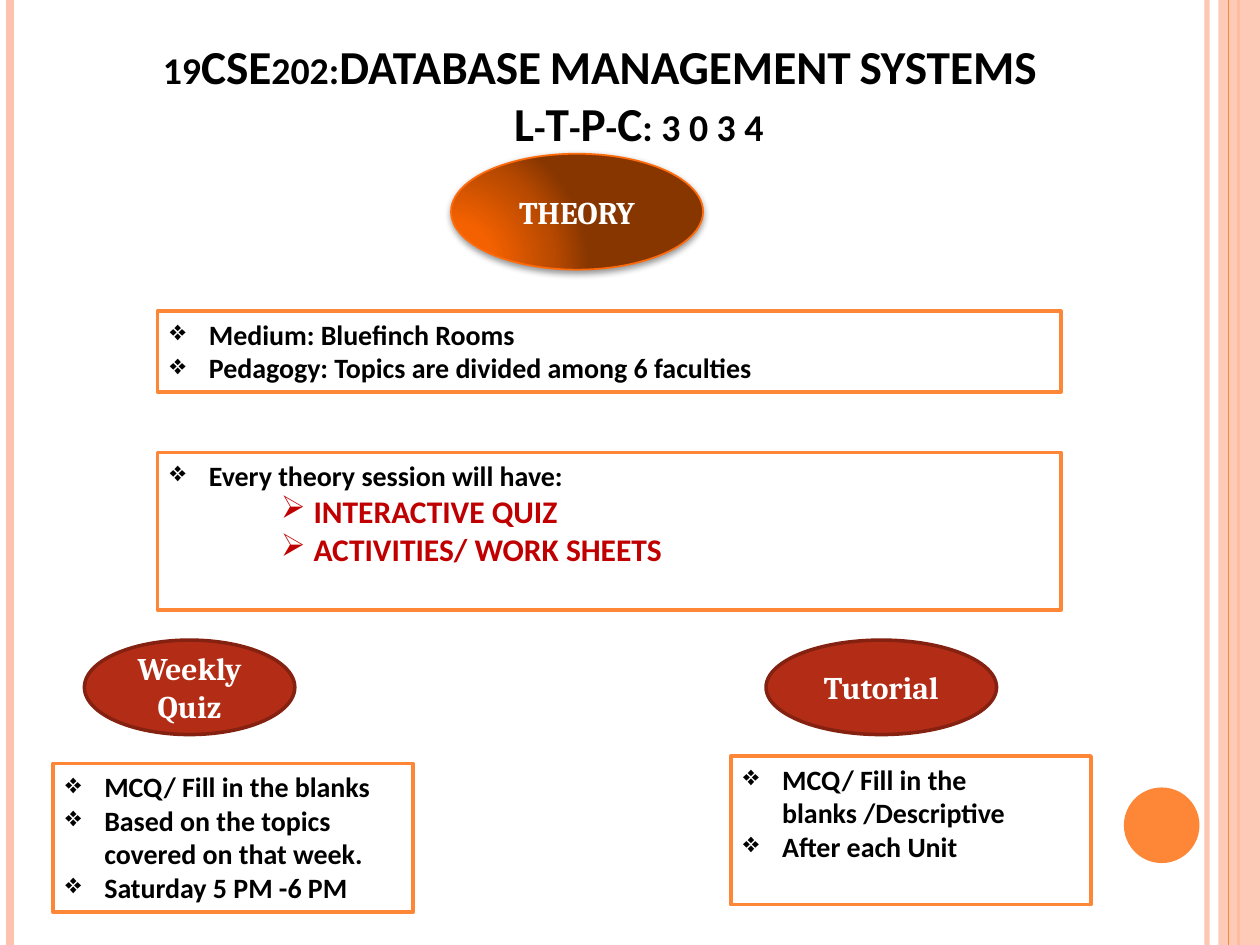
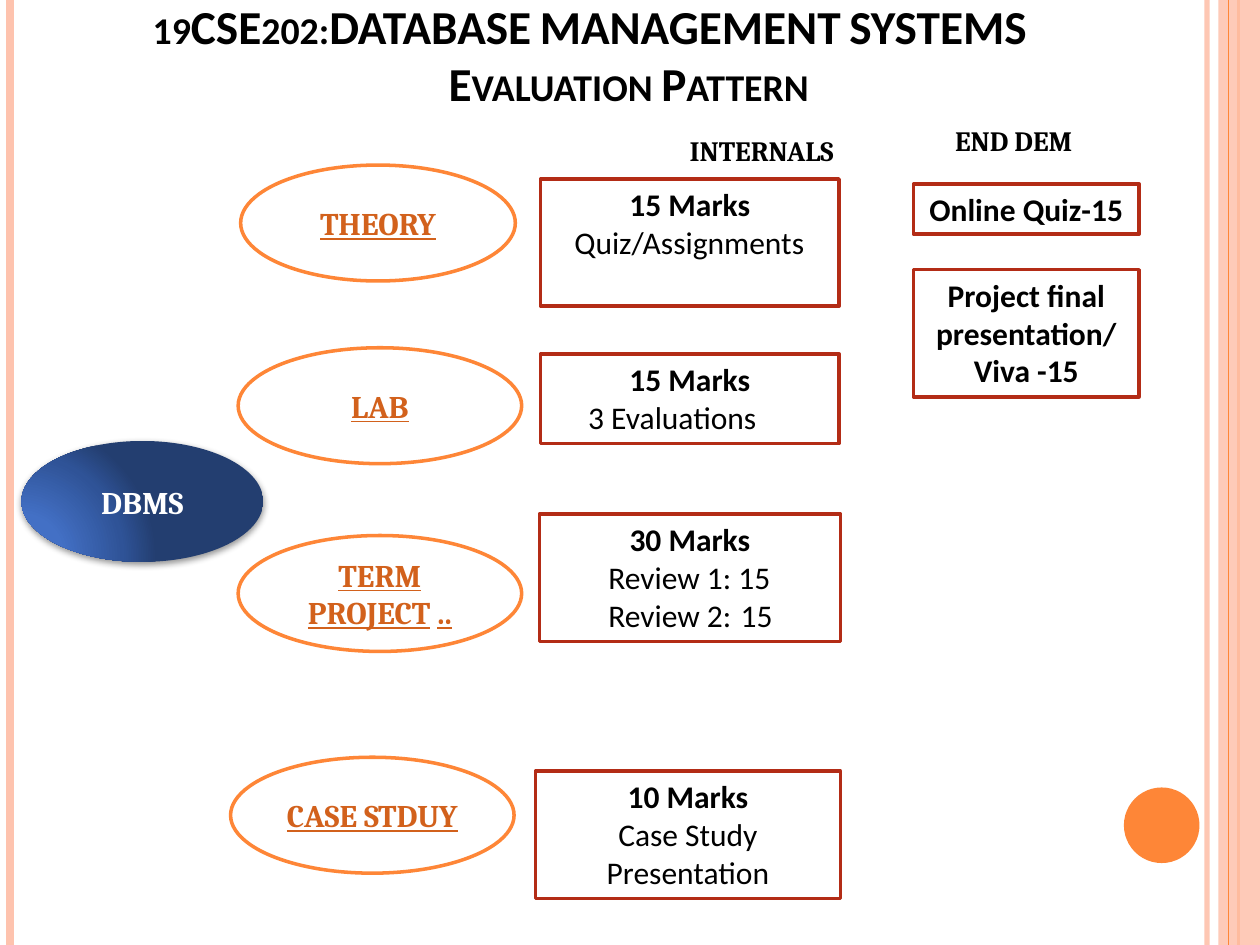
from dataclasses import dataclass
from lxml import etree
from pptx import Presentation
from pptx.dml.color import RGBColor
from pptx.enum.shapes import MSO_CONNECTOR, MSO_SHAPE
from pptx.enum.text import MSO_ANCHOR, MSO_AUTO_SIZE, PP_ALIGN
from pptx.oxml.ns import qn
from pptx.util import Inches, Pt

RECT, OVAL = MSO_SHAPE.RECTANGLE, MSO_SHAPE.OVAL
STRAIGHT = MSO_CONNECTOR.STRAIGHT
TOP, MIDDLE, BOTTOM = MSO_ANCHOR.TOP, MSO_ANCHOR.MIDDLE, MSO_ANCHOR.BOTTOM
LEFT, CENTER = PP_ALIGN.LEFT, PP_ALIGN.CENTER
FIXED_SIZE = MSO_AUTO_SIZE.NONE
COURSE = "19CSE202:DATABASE MANAGEMENT SYSTEMS"


@dataclass(frozen=True)
class Theme:
    black: str = "000000"
    white: str = "FFFFFF"
    orange: str = "FE8637"
    peach: str = "FEC3AE"
    rust: str = "D2611C"
    brick: str = "B32C16"
    brick_dark: str = "842110"
    red: str = "C00000"
    theory_edge: str = "FF6B0A"
    theory_glow: tuple = ("FD6400", "F46100", "B74900", "873600")
    course_glow: tuple = ("4574CC", "4370C5", "2F5397", "233E70")
    glow_stops: tuple = (0, 30, 75, 100)
    body_font: str = "Calibri"
    oval_font: str = "Cambria"
    title_size: int = 27
    large: int = 18
    small: int = 16


THEME = Theme()


@dataclass
class Para:
    """One paragraph: spans of (text, format) with its placing."""
    spans: list
    align: object = CENTER
    left: float = 0
    indent: float = 0
    bullet: str = ""
    tab: float = 0


def style(size, name=THEME.body_font, color=THEME.black, bold=True, underline=False):
    return {"size": Pt(size), "name": name, "bold": bold,
            "underline": underline, "color": color}


TITLE = style(THEME.title_size)
ITEM = style(THEME.small)
ALERT = style(THEME.large, color=THEME.red)
MARKS = style(THEME.large)
DETAIL = style(THEME.large, bold=False)
HEADING = style(THEME.small, THEME.oval_font)
OVAL_TEXT = style(THEME.large, THEME.oval_font, THEME.white)
PART_TEXT = style(THEME.large, THEME.oval_font, THEME.rust, underline=True)
PART_GAP = style(THEME.large, THEME.oval_font)


def item(text):
    return Para([(text, ITEM)], LEFT, 0.31, -0.31, "❖")


def alert(text):
    return Para([(text, ALERT)], LEFT, 1.14, -0.26, "➢")


def centered(text, look):
    return Para([(text, look)])


def detail(text, indent, tab=0):
    return Para([(text, DETAIL)], LEFT, indent=indent, tab=tab)


def set_alpha(element, percent):
    for color in element.iter(qn("a:srgbClr")):
        etree.SubElement(color, qn("a:alpha"), val=str(percent * 1000))


class Deck:
    def __init__(self, theme):
        self.theme = theme
        self.deck = Presentation()
        self.deck.slide_width, self.deck.slide_height = Inches(10), Inches(7.5)
        self.page = None

    def new_page(self, subtitle, left, top):
        self.page = self.deck.slides.add_slide(self.deck.slide_layouts[5])
        self.frame()
        self.title(subtitle, left, top)

    def frame(self):
        """Side bands and the page-corner disc."""
        theme = self.theme
        self.rule(9.58, theme.peach, 3, 93)
        self.rule(0.08, theme.peach, 4.5)
        self.rule(9.83, theme.orange, 1.5)
        band = self.shape(RECT, (9.67, 0, 0.33, 7.5), theme.peach)
        set_alpha(band._element.spPr, 87)
        self.rule(9.75, theme.orange, 0.75)
        self.shape(OVAL, (8.92, 6.25, 0.6, 0.6), theme.orange)

    def rule(self, x, color, width, alpha=100):
        rule = self.page.shapes.add_connector(
            STRAIGHT, Inches(x), Inches(0), Inches(x), Inches(7.5))
        rule.line.color.rgb = RGBColor.from_string(color)
        rule.line.width = Pt(width)
        properties = rule._element.spPr
        if alpha < 100:
            set_alpha(properties, alpha)
        etree.SubElement(properties, qn("a:effectLst"))

    def title(self, subtitle, left, top):
        box = self.page.shapes.title
        place = {"left": left, "top": top, "width": 8.17, "height": 1.25}
        for name, value in place.items():
            setattr(box, name, Inches(value))
        self.set_text(box, [Para([(COURSE, TITLE)], left=0.35),
                            Para([(subtitle, TITLE)], left=0.97)], BOTTOM)
        for properties in box._element.iter(qn("a:rPr")):
            properties.set("cap", "small")

    def shape(self, kind, place, fill, edge=None, width=2):
        shape = self.page.shapes.add_shape(kind, *map(Inches, place))
        shape.shadow.inherit = False
        shape.fill.solid()
        shape.fill.fore_color.rgb = RGBColor.from_string(fill)
        if edge:
            shape.line.color.rgb = RGBColor.from_string(edge)
            shape.line.width = Pt(width)
        else:
            shape.line.fill.background()
        return shape

    def box(self, place, paras, edge):
        box = self.shape(RECT, place, self.theme.white, edge)
        self.set_text(box, paras, TOP)
        return box

    def heading(self, place, text):
        self.set_text(self.shape(RECT, place, self.theme.white),
                      [centered(text, HEADING)], MIDDLE)

    def oval(self, place, spans, fill, edge=None, width=2):
        oval = self.shape(OVAL, place, fill, edge, width)
        self.set_text(oval, [Para(spans)], MIDDLE)
        return oval

    def glowing_oval(self, place, text, colors, edge=None):
        """Oval with a radial gradient and a soft shadow below it."""
        oval = self.oval(place, [(text, OVAL_TEXT)], colors[-1], edge, 1)
        properties = oval._element.spPr
        gradient = etree.Element(qn("a:gradFill"), rotWithShape="1")
        stops = etree.SubElement(gradient, qn("a:gsLst"))
        for position, color in zip(self.theme.glow_stops, colors):
            stop = etree.SubElement(stops, qn("a:gs"), pos=str(position * 1000))
            etree.SubElement(stop, qn("a:srgbClr"), val=color)
        circle = etree.SubElement(gradient, qn("a:path"), path="circle")
        etree.SubElement(circle, qn("a:fillToRect"),
                         l="5000", t="100000", r="120000", b="10000")
        properties.replace(properties.find(qn("a:solidFill")), gradient)
        shadow = etree.SubElement(
            properties.find(qn("a:effectLst")), qn("a:outerShdw"),
            blurRad=str(Pt(4)), dist=str(Pt(1.6)), dir="5400000", rotWithShape="0")
        etree.SubElement(shadow, qn("a:srgbClr"), val=self.theme.black)
        set_alpha(shadow, 42)

    def set_text(self, shape, paras, anchor):
        frame = shape.text_frame
        settings = {"word_wrap": True, "auto_size": FIXED_SIZE, "vertical_anchor": anchor}
        for name, value in settings.items():
            setattr(frame, name, value)
        for number, content in enumerate(paras):
            para = frame.paragraphs[0] if number == 0 else frame.add_paragraph()
            para.alignment = content.align
            properties = para._p.get_or_add_pPr()
            properties.set("marL", str(Inches(content.left)))
            properties.set("indent", str(Inches(content.indent)))
            if content.bullet:
                etree.SubElement(properties, qn("a:buChar"), char=content.bullet)
            if content.tab:
                tabs = etree.SubElement(properties, qn("a:tabLst"))
                etree.SubElement(tabs, qn("a:tab"), pos=str(Inches(content.tab)), algn="l")
            for text, look in content.spans:
                span = para.add_run()
                span.text = text
                for name, value in look.items():
                    if name == "color":
                        span.font.color.rgb = RGBColor.from_string(value)
                    else:
                        setattr(span.font, name, value)


def theory_page(deck):
    theme = deck.theme
    deck.new_page("L-T-P-C: 3 0 3 4", 0.5, 0)
    deck.glowing_oval((3.58, 1.22, 2, 0.92), "THEORY", theme.theory_glow, theme.theory_edge)

    # Theory sessions
    deck.box((1.25, 2.47, 7.17, 0.64),
             [item("Medium: Bluefinch Rooms"),
              item("Pedagogy: Topics are divided among 6 faculties")], theme.orange)
    deck.box((1.25, 3.59, 7.17, 1.25),
             [item("Every theory session will have:"),
              alert("INTERACTIVE QUIZ"),
              alert("ACTIVITIES/ WORK SHEETS")], theme.orange)

    # Weekly quiz and tutorial
    for left, width, text in ((0.67, 1.67, "Weekly Quiz"), (6.08, 1.83, "Tutorial")):
        deck.oval((left, 5.08, width, 0.75), [(text, OVAL_TEXT)],
                  theme.brick, theme.brick_dark)
    deck.box((0.42, 6.06, 2.86, 1.18),
             [item("MCQ/ Fill in the blanks"),
              item("Based on the topics covered on that week."),
              item("Saturday 5 PM -6 PM")], theme.orange)
    tutorial = deck.box((5.8, 6, 2.86, 1.18),
                        [item("MCQ/ Fill in the blanks /Descriptive"),
                         item("After each Unit")], theme.orange)
    tutorial.text_frame.margin_right = Inches(0.4)


def evaluation_page(deck):
    theme = deck.theme
    deck.new_page("Evaluation Pattern", 0.42, -0.32)
    deck.glowing_oval((0.17, 3.5, 1.92, 0.96), "DBMS", theme.course_glow)

    # Course parts
    parts = (
        (1.91, 1.31, 2.18, [("THEORY", PART_TEXT)]),
        (1.89, 2.76, 2.25, [("LAB", PART_TEXT)]),
        (1.89, 4.25, 2.25, [("TERM PROJECT", PART_TEXT), (" ", PART_GAP), ("..", PART_TEXT)]),
        (1.83, 6.01, 2.25, [("CASE STDUY", PART_TEXT)]),
    )
    for left, top, width, spans in parts:
        deck.oval((left, top, width, 0.92), spans, theme.white, theme.orange)

    # Internal marks
    internals = (
        ((4.29, 1.42, 2.37, 1.01), "15 Marks", [detail("Quiz/Assignments", 0.17)]),
        ((4.29, 2.81, 2.37, 0.71), "15 Marks", [detail("3 Evaluations", 0.28)]),
        ((4.28, 4.08, 2.39, 1.01), "30 Marks",
         [detail("Review 1: 15", 0.45), detail("Review 2:\t15", 0.45, 1.6)]),
        ((4.25, 6.12, 2.42, 1.01), "10 Marks",
         [centered("Case Study Presentation", DETAIL)]),
    )
    for place, marks, details in internals:
        deck.box(place, [centered(marks, MARKS), *details], theme.brick)

    # Column headings and end-semester marks
    deck.heading((5.17, 1.08, 1.75, 0.23), "INTERNALS")
    deck.heading((7.17, 1, 1.75, 0.23), "END DEM")
    for top, height, text in ((1.46, 0.4, "Online Quiz-15"),
                              (2.14, 1.01, "Project final presentation/ Viva -15")):
        deck.box((7.25, top, 1.79, height), [centered(text, MARKS)], theme.brick)


def main():
    deck = Deck(THEME)
    theory_page(deck)
    evaluation_page(deck)
    deck.deck.save("out.pptx")


if __name__ == "__main__":
    main()
